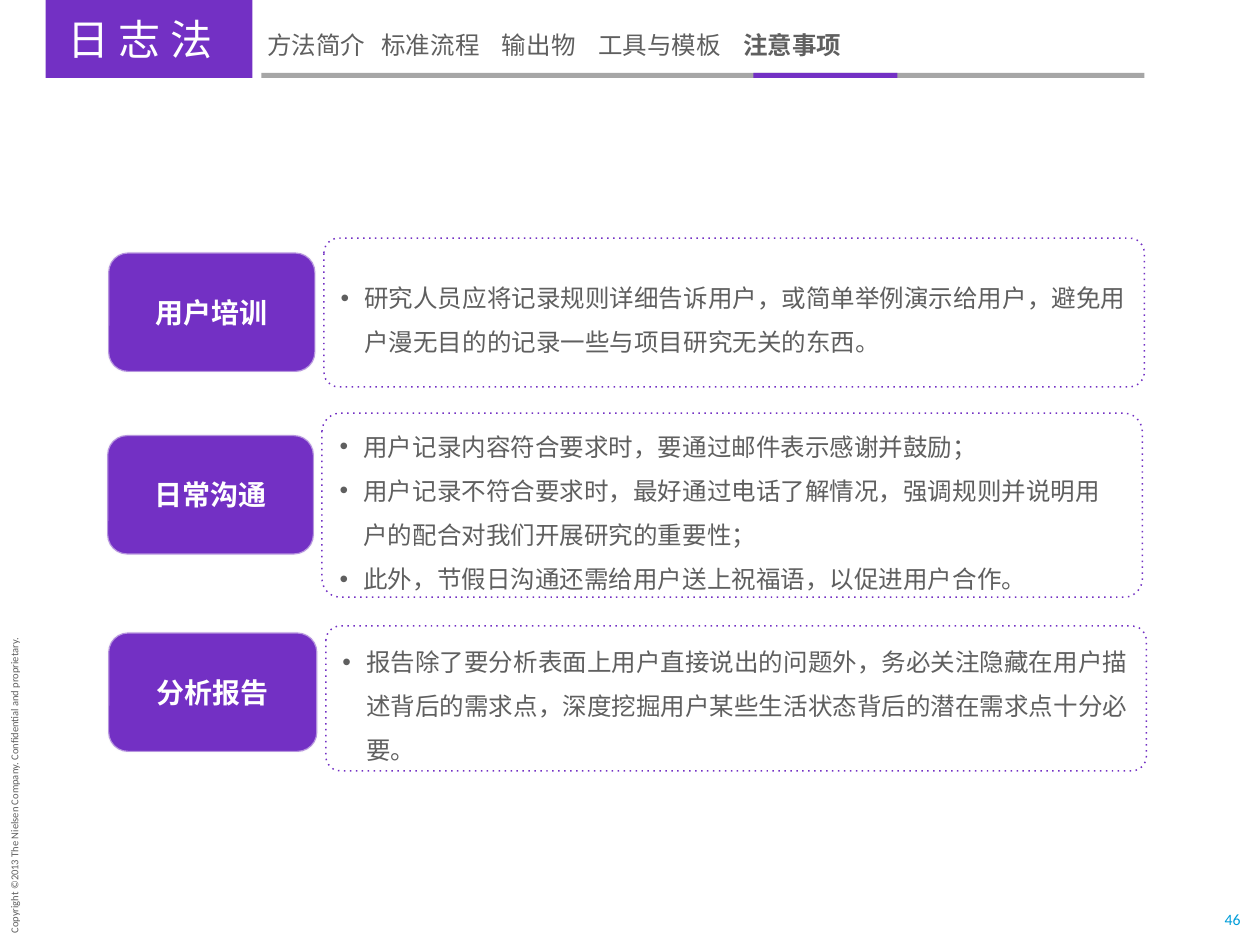
from lxml import etree
from pptx import Presentation
from pptx.dml.color import RGBColor
from pptx.enum.shapes import MSO_SHAPE
from pptx.enum.text import MSO_ANCHOR, PP_ALIGN
from pptx.oxml.ns import qn
from pptx.util import Cm, Pt

PURPLE = RGBColor(0x73, 0x30, 0xC4)
GRAY = RGBColor(0xA6, 0xA6, 0xA6)
TEXT_GRAY = RGBColor(0x5F, 0x5F, 0x5F)
BLUE = RGBColor(0x00, 0x9D, 0xD9)
PALE = RGBColor(0xF9, 0xF9, 0xF9)
WHITE = RGBColor(0xFF, 0xFF, 0xFF)
RECTANGLE, ROUNDED = MSO_SHAPE.RECTANGLE, MSO_SHAPE.ROUNDED_RECTANGLE
LEFT, CENTER = PP_ALIGN.LEFT, PP_ALIGN.CENTER
MIDDLE = MSO_ANCHOR.MIDDLE
CHINESE_FONT = "Noto Sans CJK SC"
LATIN_FONT = "Calibri"

presentation = Presentation()
presentation.slide_width = Cm(25.4)
presentation.slide_height = Cm(19.05)
slide = presentation.slides.add_slide(presentation.slide_layouts[6])


def add_box(kind, left, top, width, height, fill=None):
    shape = slide.shapes.add_shape(kind, Cm(left), Cm(top), Cm(width), Cm(height))
    shape.shadow.inherit = False
    shape.line.fill.background()
    if fill is None:
        shape.fill.background()
    else:
        shape.fill.solid()
        shape.fill.fore_color.rgb = fill
    shape.text_frame.vertical_anchor = MIDDLE
    return shape


def style_text(paragraph, size, color, alignment=LEFT, font=CHINESE_FONT, bold=False):
    paragraph.alignment = alignment
    for run in paragraph.runs:
        run.font.size = Pt(size)
        run.font.bold = bold
        run.font.color.rgb = color
        run.font.name = font
        etree.SubElement(run.font._element, qn("a:ea"), typeface=font)


copyright_box = slide.shapes.add_textbox(Cm(-3), Cm(15.52), Cm(6.58), Cm(0.51))
copyright_box.rotation = 270
copyright_box.text_frame.word_wrap = False
copyright_box.text_frame.text = "Copyright ©2013 The Nielsen Company. Confidential and proprietary."
style_text(copyright_box.text_frame.paragraphs[0], 6, TEXT_GRAY, font=LATIN_FONT)

page_number = slide.shapes.add_textbox(Cm(24.66), Cm(18.34), Cm(0.38), Cm(0.38))
number_frame = page_number.text_frame
number_frame.margin_left = number_frame.margin_right = 0
number_frame.margin_top = number_frame.margin_bottom = 0
number_frame.vertical_anchor = MIDDLE
number_frame.word_wrap = False
number_frame.text = "46"
style_text(number_frame.paragraphs[0], 9, BLUE, CENTER, LATIN_FONT)

title = add_box(RECTANGLE, 0.92, 0, 4.17, 1.57, PURPLE)
title.text_frame.margin_left = Cm(0.44)
title.text_frame.text = "日 志 法"
style_text(title.text_frame.paragraphs[0], 24, WHITE)

add_box(RECTANGLE, 5.27, 1.47, 17.8, 0.1, GRAY)
add_box(RECTANGLE, 15.19, 1.47, 2.9, 0.1, PURPLE)

navigation = slide.shapes.add_textbox(Cm(5.14), Cm(0.49), Cm(17.58), Cm(0.86))
navigation.text_frame.word_wrap = True
navigation_line = navigation.text_frame.paragraphs[0]
tab_list = etree.SubElement(navigation_line._p.get_or_add_pPr(), qn("a:tabLst"))
for position in (2.3, 4.73, 6.67, 9.59):
    etree.SubElement(tab_list, qn("a:tab"), pos=str(Cm(position)), algn="l")
for section in ("方法简介\t", "标准流程\t", "输出物\t", "工具与模板\t", "注意事项"):
    navigation_line.add_run().text = section
style_text(navigation_line, 14, TEXT_GRAY)
navigation_line.runs[-1].font.bold = True

topics = [
    ("用户培训", (2.18, 5.09, 4.18), (6.53, 4.8, 3), [
        "研究人员应将记录规则详细告诉用户，或简单举例演示给用户，避免用户漫无目的的记录一些与项目研究无关的东西。",
    ]),
    ("日常沟通", (2.16, 8.77, 4.17), (6.49, 8.33, 3.71), [
        "用户记录内容符合要求时，要通过邮件表示感谢并鼓励；",
        "用户记录不符合要求时，最好通过电话了解情况，强调规则并说明用户的配合对我们开展研究的重要性；",
        "此外，节假日沟通还需给用户送上祝福语，以促进用户合作。",
    ]),
    ("分析报告", (2.18, 12.75, 4.22), (6.57, 12.62, 2.92), [
        "报告除了要分析表面上用户直接说出的问题外，务必关注隐藏在用户描述背后的需求点，深度挖掘用户某些生活状态背后的潜在需求点十分必要。",
    ]),
]

for name, (left, top, width), (panel_left, panel_top, panel_height), notes in topics:
    label = add_box(ROUNDED, left, top, width, 2.41, PURPLE)
    label.line.color.rgb = PALE
    label.line.width = Pt(1.35)
    line_color = label.line._get_or_add_ln().find(".//" + qn("a:srgbClr"))
    etree.SubElement(line_color, qn("a:alpha"), val="50000")
    label.text_frame.text = name
    style_text(label.text_frame.paragraphs[0], 16, WHITE, CENTER, bold=True)

    panel = add_box(ROUNDED, panel_left, panel_top, 16.54, panel_height)
    panel.adjustments[0] = 0.1
    panel.line.color.rgb = PURPLE
    panel.line.width = Pt(0.85)
    etree.SubElement(panel.line._get_or_add_ln(), qn("a:prstDash"), val="dot")
    panel.text_frame.text = "\n".join(notes)
    for paragraph in panel.text_frame.paragraphs:
        properties = paragraph._p.get_or_add_pPr()
        properties.set("marL", str(Cm(0.48)))
        properties.set("indent", str(Cm(-0.48)))
        etree.SubElement(properties, qn("a:buFont"), typeface="Arial")
        etree.SubElement(properties, qn("a:buChar"), char="•")
        paragraph.line_spacing = 1.5
        style_text(paragraph, 14, TEXT_GRAY)

presentation.save("out.pptx")
